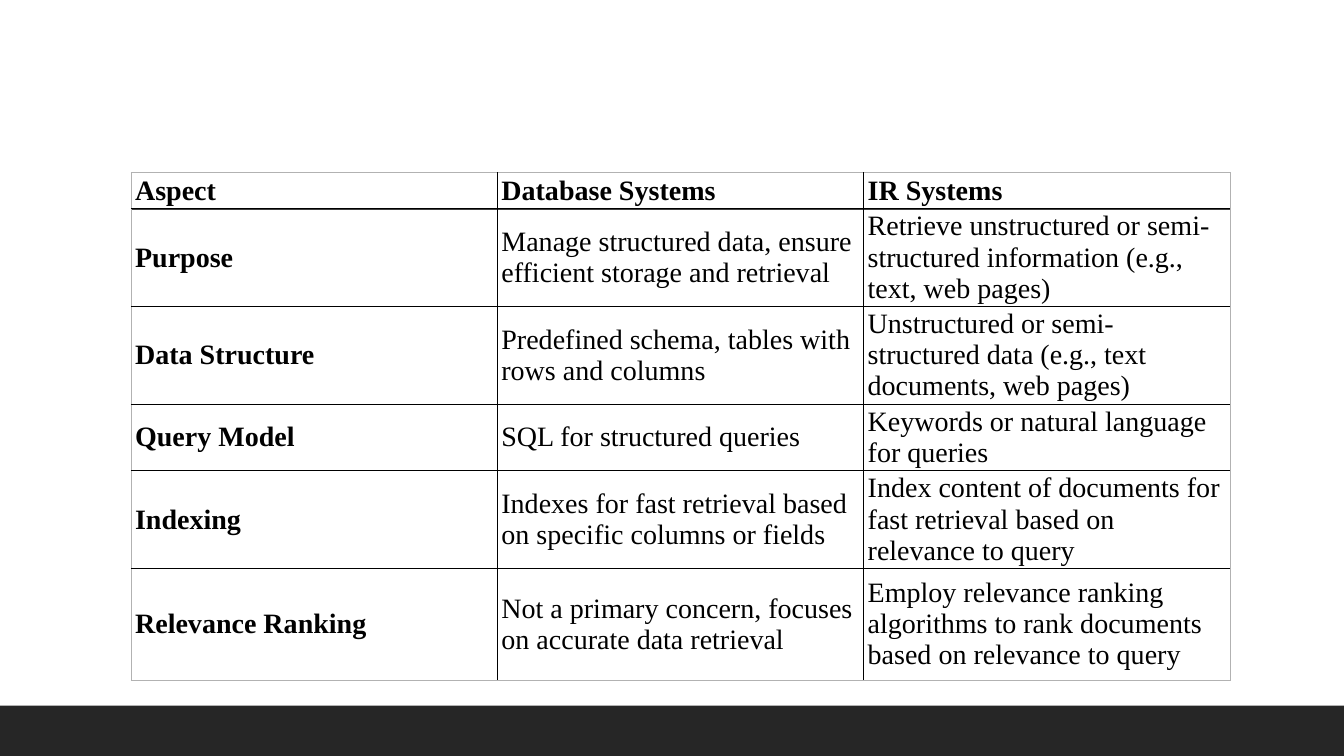
from lxml import etree
from pptx import Presentation
from pptx import util as u
from pptx.dml.color import RGBColor
from pptx.enum import shapes, text
from pptx.oxml import ns

BLACK = RGBColor(0x00, 0x00, 0x00)
CHARCOAL = RGBColor(0x26, 0x26, 0x26)
RULE_GRAY = RGBColor(0x40, 0x40, 0x40)
EDGE_GRAY = RGBColor(0xB2, 0xB2, 0xB2)

ROW_HEIGHTS = [0.36, 0.97, 0.97, 0.66, 0.97, 1.11]
COMPARISON = [
    ("Aspect", "Database Systems", "IR Systems"),
    ("Purpose",
     "Manage structured data, ensure efficient storage and retrieval",
     "Retrieve unstructured or semi-structured information (e.g., text, web pages)"),
    ("Data Structure",
     "Predefined schema, tables with rows and columns",
     "Unstructured or semi-structured data (e.g., text documents, web pages)"),
    ("Query Model",
     "SQL for structured queries",
     "Keywords or natural language for queries"),
    ("Indexing",
     "Indexes for fast retrieval based on specific columns or fields",
     "Index content of documents for fast retrieval based on relevance to query"),
    ("Relevance Ranking",
     "Not a primary concern, focuses on accurate data retrieval",
     "Employ relevance ranking algorithms to rank documents based on relevance to query"),
]


def write(frame, words, font="Times New Roman", size=20, color=BLACK, bold=False):
    span = frame.paragraphs[0].add_run()
    span.text = words
    span.font.name = font
    span.font.size = u.Pt(size)
    span.font.color.rgb = color
    span.font.bold = bold


def set_border(cell, side, color, width):
    """Draw one side (L, R, T or B) of a cell; call in that order, before the fill."""
    line = etree.SubElement(cell._tc.get_or_add_tcPr(), ns.qn(f"a:ln{side}"),
                            w=str(u.Pt(width)))
    fill = etree.SubElement(line, ns.qn("a:solidFill"))
    etree.SubElement(fill, ns.qn("a:srgbClr"), val=str(color))


class Slide:
    """The current slide; lengths are shares of its width and height."""

    def __init__(self, deck):
        self.width, self.height = deck.slide_width, deck.slide_height
        self.page = deck.slides.add_slide(deck.slide_layouts[6])

    def across(self, share):
        return round(self.width * share)

    def down(self, share):
        return round(self.height * share)

    def band(self, top, height, color):
        box = self.page.shapes.add_shape(
            shapes.MSO_SHAPE.RECTANGLE, 0, self.down(top), self.width, self.down(height))
        box.shadow.inherit = False
        box.fill.solid()
        box.fill.fore_color.rgb = color
        box.line.fill.background()

    def rule(self, left, right, top, color, width=1):
        line = self.page.shapes.add_connector(
            shapes.MSO_CONNECTOR.STRAIGHT, self.across(left), self.down(top),
            self.across(right), self.down(top))
        line.line.color.rgb = color
        line.line.width = u.Pt(width)
        etree.SubElement(line._element.spPr, ns.qn("a:effectLst"))

    def table(self, rows, heights, left, top, width):
        """Fill a table with equal columns, a bold first row and a bold first column."""
        last_row, last_column = len(rows) - 1, len(rows[0]) - 1
        table = self.page.shapes.add_table(
            len(rows), len(rows[0]), self.across(left), self.down(top),
            self.across(width), u.Inches(sum(heights))).table
        table.first_row = table.horz_banding = False
        for r, (row, height) in enumerate(zip(rows, heights)):
            table.rows[r].height = u.Inches(height)
            for c, words in enumerate(row):
                cell = table.cell(r, c)
                cell.margin_left = cell.margin_right = u.Inches(0.04)
                cell.margin_top = cell.margin_bottom = u.Inches(0.02)
                cell.vertical_anchor = (text.MSO_ANCHOR.MIDDLE if r
                                        else text.MSO_ANCHOR.BOTTOM)
                write(cell.text_frame, words, bold=r == 0 or c == 0)
                outer = {"L": c == 0, "R": c == last_column,
                         "T": r == 0, "B": r == last_row}
                for side, is_outer in outer.items():
                    set_border(cell, side, *((EDGE_GRAY, 0.5) if is_outer else (BLACK, 1)))
                cell.fill.background()


def main():
    deck = Presentation()
    deck.slide_width, deck.slide_height = u.Inches(13.33), u.Inches(7.5)
    slide = Slide(deck)
    slide.band(top=14 / 15, height=1 / 15, color=CHARCOAL)
    slide.rule(left=1.31 / 13.33, right=12.21 / 13.33, top=2.08 / 7.5, color=RULE_GRAY)
    slide.table(COMPARISON, ROW_HEIGHTS,
                left=1.3 / 13.33, top=1.71 / 7.5, width=10.9 / 13.33)
    deck.save("out.pptx")


if __name__ == "__main__":
    main()
